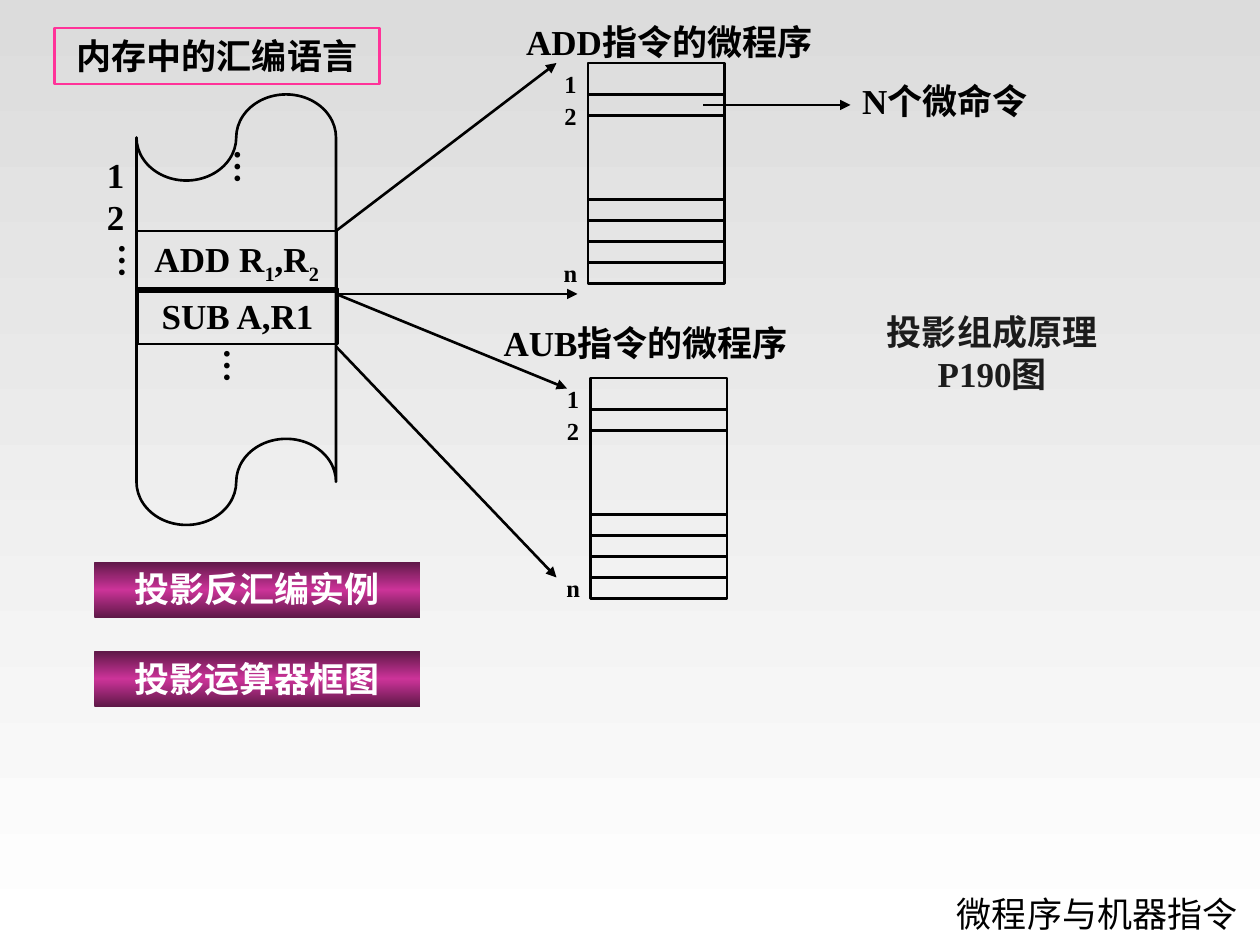
from copy import deepcopy
from dataclasses import dataclass

from lxml.etree import SubElement
from pptx import Presentation
from pptx.dml.color import RGBColor
from pptx.enum.shapes import MSO_CONNECTOR, MSO_SHAPE
from pptx.enum.text import MSO_ANCHOR, MSO_AUTO_SIZE, PP_ALIGN
from pptx.oxml.ns import qn
from pptx.util import Pt


@dataclass(frozen=True)
class Theme:
    font: str = "Times New Roman"
    ink: str = "000000"
    note: str = "1C1C1C"
    light: str = "FFFFFF"
    frame: str = "FF3399"
    button: tuple = ("5E1847", "CC3399", "5E1847")
    backdrop: tuple = ("DCDCDC", "FFFFFF")
    text_size: float = 20
    label_size: float = 14
    line_width: float = 1.5


class SlideBuilder:
    def __init__(self, page, theme):
        self.page = page
        self.theme = theme

    def gradient(self, fill, colors):
        """Fill from top to bottom with evenly spaced colours."""
        fill.gradient()
        fill.gradient_angle = 270
        stops = fill.gradient_stops
        if len(colors) > len(stops):
            first = stops[0]._gs
            first.addnext(deepcopy(first))
        for index, (stop, color) in enumerate(zip(fill.gradient_stops, colors)):
            stop.position = index / (len(colors) - 1)
            stop.color.rgb = RGBColor.from_string(color)

    def add_words(self, shape, spans, color=None, size=None, bold=True):
        """Centre one paragraph; spans starting with _ are subscripts."""
        frame = shape.text_frame
        frame.word_wrap = True
        paragraph = frame.paragraphs[0]
        paragraph.alignment = PP_ALIGN.CENTER
        for text in spans:
            span = paragraph.add_run()
            span.text = text.lstrip("_")
            span.font.name = self.theme.font
            span.font.size = Pt(size or self.theme.text_size)
            span.font.bold = bold
            span.font.color.rgb = RGBColor.from_string(color or self.theme.ink)
            if text.startswith("_"):
                span._r.get_or_add_rPr().set("baseline", "-25000")

    def title(self, text, area):
        box = self.page.shapes.title
        box.left, box.top, box.width, box.height = map(Pt, area)
        box.text_frame.vertical_anchor = MSO_ANCHOR.MIDDLE
        self.add_words(box, [text], bold=False)

    def shape(self, area, spans=(), kind=MSO_SHAPE.RECTANGLE, line=None, color=None):
        item = self.page.shapes.add_shape(kind, *map(Pt, area))
        item.shadow.inherit = False
        item.fill.background()
        item.line.color.rgb = RGBColor.from_string(line or self.theme.ink)
        item.line.width = Pt(self.theme.line_width)
        if spans:
            item.text_frame.vertical_anchor = MSO_ANCHOR.TOP
            item.text_frame.auto_size = MSO_AUTO_SIZE.SHAPE_TO_FIT_TEXT
            self.add_words(item, spans, color)
        return item

    def button(self, text, area):
        item = self.shape(area, [text], color=self.theme.light)
        item.line.fill.background()
        self.gradient(item.fill, self.theme.button)

    def text(self, text, area, color=None, size=None):
        box = self.page.shapes.add_textbox(*map(Pt, area))
        box.text_frame.auto_size = MSO_AUTO_SIZE.SHAPE_TO_FIT_TEXT
        self.add_words(box, [text], color, size)
        return box

    def vertical_dots(self, left, top):
        frame = self.text("…", (left, top, 38, 66)).text_frame
        frame.margin_left = frame.margin_right = Pt(3.6)
        frame.margin_top = frame.margin_bottom = Pt(7.2)
        frame._txBody.bodyPr.set("vert", "eaVert")

    def arrow(self, start, end):
        line = self.page.shapes.add_connector(
            MSO_CONNECTOR.STRAIGHT, *map(Pt, start + end))
        line.line.color.rgb = RGBColor.from_string(self.theme.ink)
        line.line.width = Pt(self.theme.line_width)
        SubElement(line.line._get_or_add_ln(), qn("a:tailEnd"), type="triangle")
        SubElement(line._element.spPr, qn("a:effectLst"))

    def microprogram(self, left, top):
        """A store of microinstructions with numbered rows."""
        self.shape((left, top, 78, 126))
        for offset in (18, 78, 102):
            self.shape((left, top + offset, 78, 12))
        for label, offset in (("1", 0), ("2", 18), ("n", 108)):
            self.text(label, (left - 24, top + offset, 28, 24.5),
                      size=self.theme.label_size)


def main():
    deck = Presentation()
    deck.slide_width, deck.slide_height = Pt(720), Pt(540)
    page = deck.slides.add_slide(deck.slide_layouts[5])
    theme = Theme()
    builder = SlideBuilder(page, theme)
    builder.gradient(page.background.fill, theme.backdrop)
    builder.title("微程序与机器指令", (534, 504, 186, 36))

    # Assembly program in memory
    builder.shape((78, 54, 114, 246), kind=MSO_SHAPE.FLOWCHART_PUNCHED_TAPE)
    builder.shape((31, 16, 186, 32), ["内存中的汇编语言"], line=theme.frame)
    builder.shape((78, 132, 114.5, 34.5), ["ADD R", "_1", ",R", "_2"])
    builder.shape((78.5, 165, 114.5, 31.5), ["SUB A,R1"])
    for label, top in (("1", 84), ("2", 108)):
        builder.text(label, (54, top, 24, 32))
    for left, top in ((54, 132), (120, 78), (114, 192)):
        builder.vertical_dots(left, top)

    # Microprograms, each reached by arrows from its instruction
    builder.microprogram(336, 36)
    builder.arrow((192, 132), (318, 36))
    builder.arrow((192, 168), (330, 168))
    builder.microprogram(337.5, 216)
    builder.arrow((192, 168), (324, 222))
    builder.arrow((192, 198), (318, 330))
    builder.text("ADD指令的微程序", (289.5, 8, 186, 32))
    builder.text("AUB指令的微程序", (276, 180, 186, 32))

    # Microcommands and reference note
    builder.arrow((402, 60), (486, 60))
    builder.text("N个微命令", (480, 42, 120, 32))
    builder.text("投影组成原理P190图", (480, 174, 174, 55.5), theme.note)

    # Buttons
    for text, top in (("投影反汇编实例", 321), ("投影运算器框图", 372)):
        builder.button(text, (54, top, 186, 32))

    deck.save("out.pptx")


if __name__ == "__main__":
    main()
